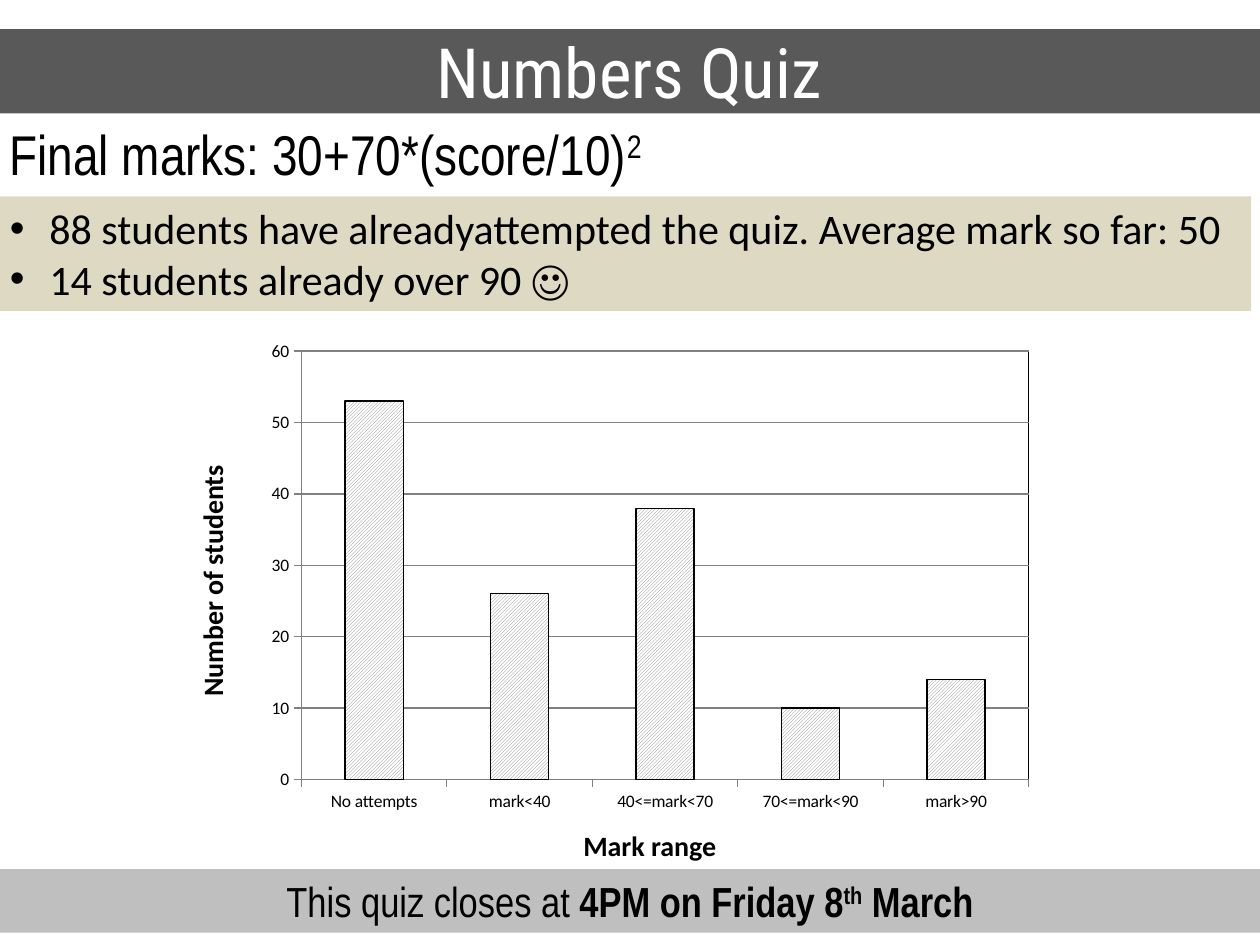
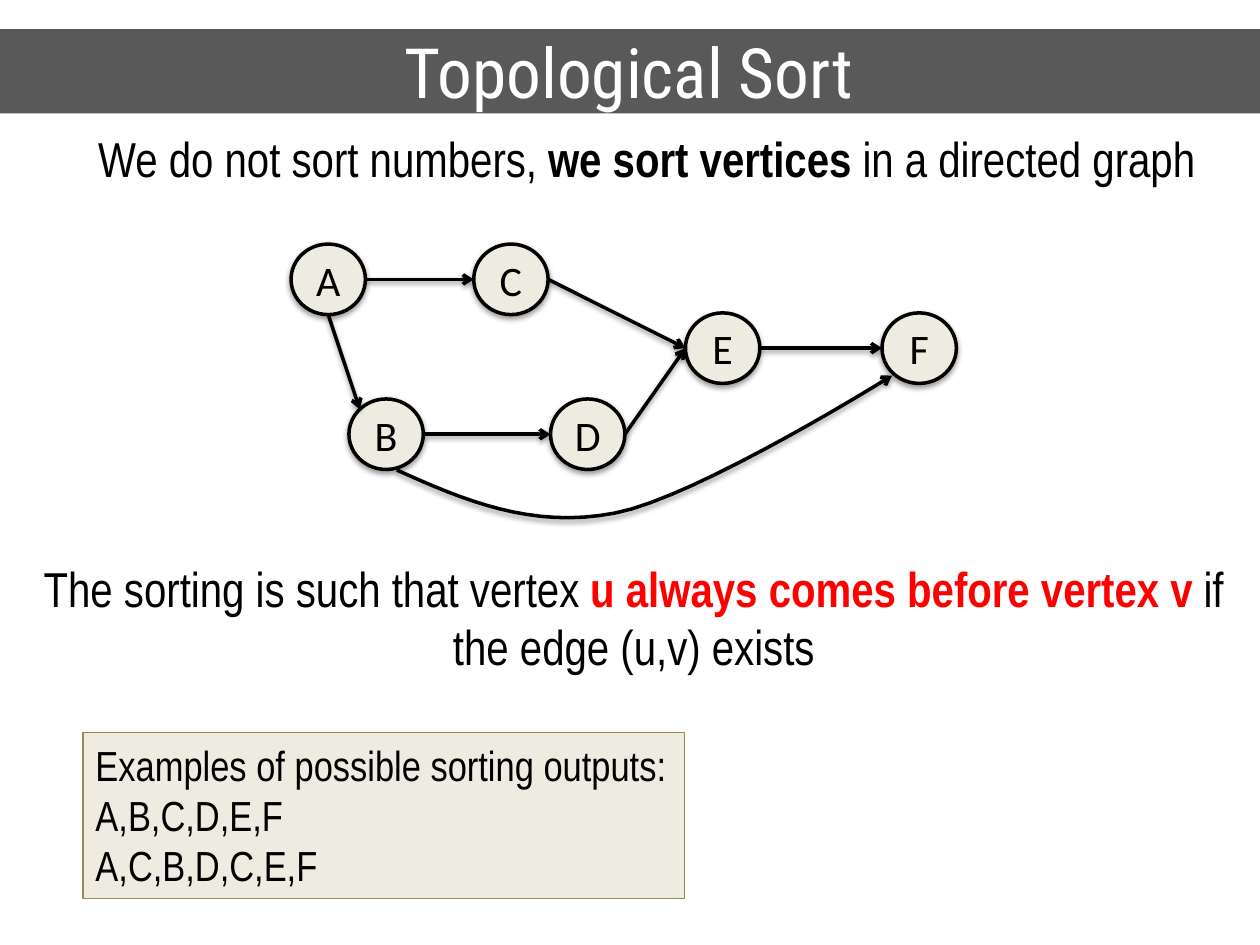
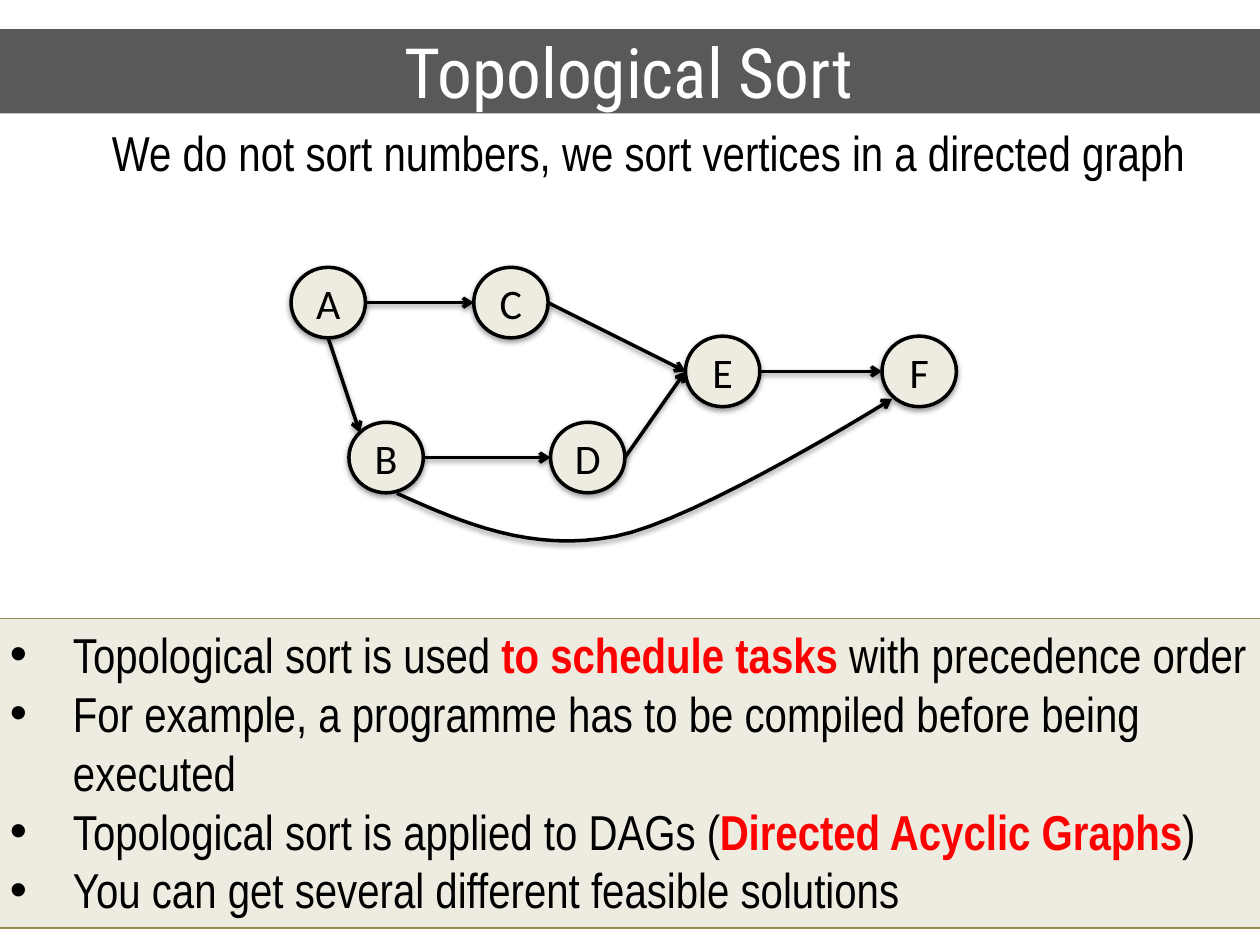
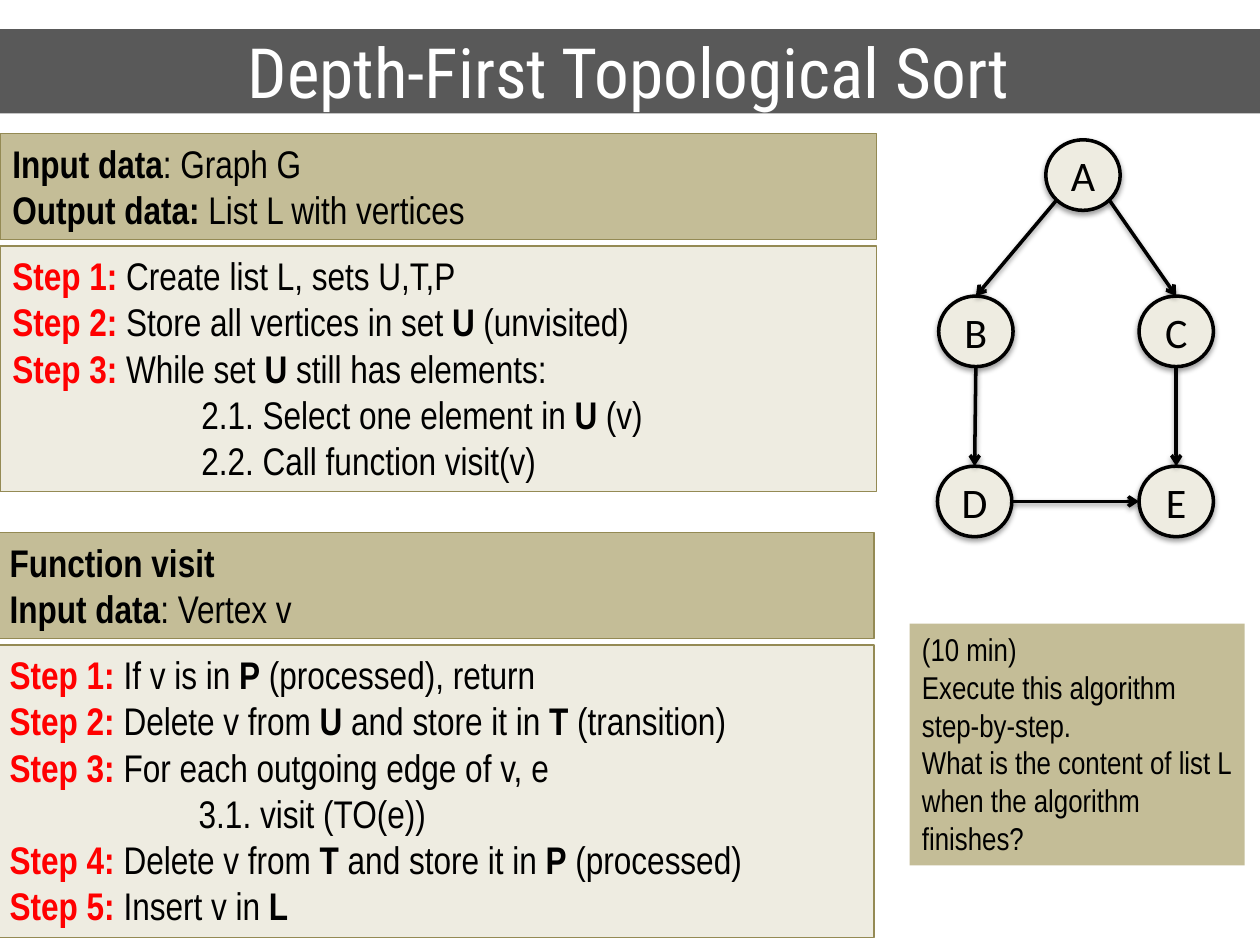
from dataclasses import dataclass
from math import sqrt

from lxml import etree
from pptx import Presentation
from pptx.chart.data import CategoryChartData
from pptx.dml.color import RGBColor
from pptx.enum.chart import XL_CHART_TYPE, XL_TICK_MARK
from pptx.enum.dml import MSO_PATTERN
from pptx.enum.shapes import MSO_CONNECTOR, MSO_SHAPE
from pptx.enum.text import MSO_ANCHOR, MSO_AUTO_SIZE, PP_ALIGN
from pptx.oxml.ns import qn
from pptx.util import Pt

COLUMNS = XL_CHART_TYPE.COLUMN_CLUSTERED
TICK_OUT = XL_TICK_MARK.OUTSIDE
HATCH = MSO_PATTERN.LIGHT_UPWARD_DIAGONAL
STRAIGHT = MSO_CONNECTOR.STRAIGHT
RECTANGLE, OVAL = MSO_SHAPE.RECTANGLE, MSO_SHAPE.OVAL
MIDDLE, TOP = MSO_ANCHOR.MIDDLE, MSO_ANCHOR.TOP
NO_FIT, FIT_SHAPE = MSO_AUTO_SIZE.NONE, MSO_AUTO_SIZE.SHAPE_TO_FIT_TEXT
LEFT, CENTER = PP_ALIGN.LEFT, PP_ALIGN.CENTER

CONTENT_LAYOUT, TITLE_LAYOUT = 1, 5
BAND_LEFT, BAND_WIDTH = -1.5, 722
NODE_WIDTH, NODE_HEIGHT = 42.5, 40.3
SUBSTEP_INDENT = 108


@dataclass(frozen=True)
class Theme:
    ink: RGBColor = RGBColor(0x00, 0x00, 0x00)
    paper: RGBColor = RGBColor(0xFF, 0xFF, 0xFF)
    accent: RGBColor = RGBColor(0xFF, 0x00, 0x00)
    title_band: RGBColor = RGBColor(0x59, 0x59, 0x59)
    notice_band: RGBColor = RGBColor(0xBF, 0xBF, 0xBF)
    sand: RGBColor = RGBColor(0xDD, 0xD9, 0xC3)
    cream: RGBColor = RGBColor(0xEE, 0xEC, 0xE1)
    khaki: RGBColor = RGBColor(0xC4, 0xBD, 0x97)
    olive: RGBColor = RGBColor(0x94, 0x8A, 0x54)
    grey: RGBColor = RGBColor(0x80, 0x80, 0x80)
    title_font: str = "Roboto Condensed"
    text_font: str = "Arial Narrow"
    plain_font: str = "Calibri"
    title: float = 39.6
    formula: float = 32
    statement: float = 28
    body: float = 24
    code: float = 22
    callout: float = 18
    axis_title: float = 16
    axis_label: float = 10
    thin: float = 0.75
    thick: float = 2


THEME = Theme()
BOLD = {"bold": True}
RAISED = {"raised": True}
KEY = {"bold": True, "color": THEME.accent}

DIAGONAL = 1 / sqrt(2)
SITES = {
    "top": (0, -1), "bottom": (0, 1), "left": (-1, 0), "right": (1, 0),
    "top left": (-DIAGONAL, -DIAGONAL),
    "bottom left": (-DIAGONAL, DIAGONAL),
    "bottom right": (DIAGONAL, DIAGONAL),
}

SORT_NODES = {
    "A": (166.3, 139.5), "B": (199.4, 228), "C": (270.7, 139.5),
    "D": (314.6, 228), "E": (391.7, 178.8), "F": (504, 178.8),
}
SORT_EDGES = [
    ("A", "right", "C", "left"), ("A", "bottom", "B", "top left"),
    ("B", "right", "D", "left"), ("C", "right", "E", "left"),
    ("D", "right", "E", "left"), ("E", "right", "F", "left"),
]
B_TO_F = [
    [(226.8, 268.6), (265, 285.8), (303.8, 302.4), (351.4, 293.2)],
    [(351.4, 293.2), (398.2, 284.4), (509.8, 214.6), (509.8, 214.6)],
]
VISIT_NODES = {
    "A": (597.6, 79.9), "B": (536.4, 169.2), "C": (650.9, 169.2),
    "D": (535.7, 266.4), "E": (650.9, 266.4),
}
VISIT_EDGES = [
    ("A", "bottom left", "B", "top"), ("A", "bottom right", "C", "top"),
    ("B", "bottom", "D", "top"), ("C", "bottom", "E", "top"),
    ("D", "right", "E", "left"),
]


def bezier_point(controls, t):
    weights = ((1 - t) ** 3, 3 * t * (1 - t) ** 2, 3 * t ** 2 * (1 - t), t ** 3)
    return tuple(sum(w * c[axis] for w, c in zip(weights, controls))
                 for axis in (0, 1))


def step(number, *pieces):
    return [(f"Step {number}: ", KEY), *pieces]


def set_indent(paragraph, margin, first_line=0):
    properties = paragraph._p.get_or_add_pPr()
    properties.set("marL", str(Pt(margin)))
    properties.set("indent", str(Pt(first_line)))
    return properties


def add_run(paragraph, text, *, size, font, color, bold=False, raised=False):
    run = paragraph.add_run()
    run.text = text
    run.font.size = Pt(size)
    run.font.name = font
    run.font.color.rgb = color
    run.font.bold = bold
    if raised:
        run._r.get_or_add_rPr().set("baseline", "30000")


def write(frame, paragraphs, *, align=LEFT, bullet_indent=0, substeps=(),
          size=THEME.body, font=THEME.text_font, color=THEME.ink, bold=False):
    """Fill a frame; a paragraph is a string or a list of strings and (string, format)."""
    base = {"size": size, "font": font, "color": color, "bold": bold}
    for index, pieces in enumerate(paragraphs):
        paragraph = frame.paragraphs[0] if index == 0 else frame.add_paragraph()
        paragraph.alignment = align
        paragraph.space_before = Pt(0)
        if bullet_indent:
            properties = set_indent(paragraph, bullet_indent, -bullet_indent)
            etree.SubElement(properties, qn("a:buChar"), char="•")
        elif index in substeps:
            set_indent(paragraph, SUBSTEP_INDENT)
        for piece in [pieces] if isinstance(pieces, str) else pieces:
            text, changes = (piece, {}) if isinstance(piece, str) else piece
            add_run(paragraph, text, **{**base, **changes})


class Deck:
    def __init__(self, theme):
        self.theme = theme
        self.presentation = Presentation()
        self.presentation.slide_width = Pt(720)
        self.presentation.slide_height = Pt(540)
        self.slide = None

    def start_slide(self, title, layout=TITLE_LAYOUT):
        self.slide = self.presentation.slides.add_slide(
            self.presentation.slide_layouts[layout])
        band = self.slide.shapes.title
        self.place(band, BAND_LEFT, 16.6, BAND_WIDTH, 48.2)
        self.paint(band, self.theme.title_band)
        frame = band.text_frame
        frame.auto_size = NO_FIT
        frame.vertical_anchor = MIDDLE
        write(frame, [title], align=CENTER, size=self.theme.title,
              font=self.theme.title_font, color=self.theme.paper)

    def place(self, shape, left, top, width, height):
        shape.left, shape.top = Pt(left), Pt(top)
        shape.width, shape.height = Pt(width), Pt(height)

    def paint(self, shape, fill, line=None, line_width=THEME.thin):
        shape.fill.solid()
        shape.fill.fore_color.rgb = fill
        if line is None:
            shape.line.fill.background()
        else:
            shape.line.color.rgb = line
            shape.line.width = Pt(line_width)

    def cast_shadow(self, shape):
        properties = shape.element.spPr
        effects = properties.find(qn("a:effectLst"))
        if effects is None:
            effects = etree.SubElement(properties, qn("a:effectLst"))
        shadow = etree.SubElement(
            effects, qn("a:outerShdw"), blurRad=str(Pt(3.1)), dist=str(Pt(1.6)),
            dir="5400000", rotWithShape="0")
        tint = etree.SubElement(shadow, qn("a:srgbClr"), val=str(self.theme.ink))
        etree.SubElement(tint, qn("a:alpha"), val="38000")

    def style_arrow(self, arrow):
        arrow.line.color.rgb = self.theme.ink
        arrow.line.width = Pt(self.theme.thick)
        outline = arrow.element.spPr.find(qn("a:ln"))
        etree.SubElement(outline, qn("a:tailEnd"), type="arrow")
        self.cast_shadow(arrow)

    def text(self, at, paragraphs, wrap=False, rotation=0, **style):
        label = self.slide.shapes.add_textbox(*map(Pt, at))
        label.rotation = rotation
        label.text_frame.word_wrap = wrap
        label.text_frame.auto_size = FIT_SHAPE
        write(label.text_frame, paragraphs, **style)

    def panel(self, at, paragraphs, fill, line=None, wrap=True, **style):
        panel = self.slide.shapes.add_shape(RECTANGLE, *map(Pt, at))
        panel.shadow.inherit = False
        self.paint(panel, fill, line)
        frame = panel.text_frame
        frame.word_wrap = wrap
        frame.auto_size = FIT_SHAPE
        frame.vertical_anchor = TOP
        write(frame, paragraphs, **style)

    def bullets(self, at, paragraphs, fill, line=None, **style):
        body = self.slide.placeholders[1]
        self.place(body, *at)
        self.paint(body, fill, line)
        body.text_frame.auto_size = NO_FIT
        write(body.text_frame, paragraphs, **style)

    def node(self, name, left, top):
        node = self.slide.shapes.add_shape(
            OVAL, Pt(left), Pt(top), Pt(NODE_WIDTH), Pt(NODE_HEIGHT))
        node.shadow.inherit = False
        self.paint(node, self.theme.cream, self.theme.ink, self.theme.thick)
        self.cast_shadow(node)
        node.text_frame.vertical_anchor = MIDDLE
        write(node.text_frame, [name], align=CENTER, font=self.theme.plain_font)

    def graph(self, nodes, edges, drop=0):
        """Draw nodes and the arrows between their named sites, moved down by drop."""
        def site_point(name, site):
            left, top = nodes[name]
            across, down = SITES[site]
            return (Pt(left + NODE_WIDTH / 2 * (1 + across)),
                    Pt(top + drop + NODE_HEIGHT / 2 * (1 + down)))

        for name, (left, top) in nodes.items():
            self.node(name, left, top + drop)
        for source, out_site, target, in_site in edges:
            self.style_arrow(self.slide.shapes.add_connector(
                STRAIGHT, *site_point(source, out_site), *site_point(target, in_site)))

    def curved_arrow(self, segments, drop=0, pieces=16):
        points = [segments[0][0]]
        for controls in segments:
            points += [bezier_point(controls, i / pieces) for i in range(1, pieces + 1)]
        start, *rest = [(Pt(x), Pt(y + drop)) for x, y in points]
        builder = self.slide.shapes.build_freeform(*start)
        builder.add_line_segments(rest, close=False)
        arrow = builder.convert_to_shape()
        arrow.shadow.inherit = False
        arrow.fill.background()
        self.style_arrow(arrow)

    def sort_graph(self, drop=0):
        self.graph(SORT_NODES, SORT_EDGES, drop)
        self.curved_arrow(B_TO_F, drop)

    def column_chart(self, at, categories, values):
        theme = self.theme
        data = CategoryChartData()
        data.categories = categories
        data.add_series("Series 1", values)
        chart = self.slide.shapes.add_chart(COLUMNS, *map(Pt, at), data).chart
        chart.has_legend = chart.has_title = False
        chart.font.name = theme.plain_font
        chart.font.size = Pt(theme.axis_label)
        chart.font.color.rgb = theme.ink

        plot = chart.plots[0]
        plot.gap_width = 150
        plot.vary_by_categories = False
        columns = plot.series[0].format
        columns.fill.patterned()
        columns.fill.pattern = HATCH
        columns.fill.fore_color.rgb = theme.grey
        columns.fill.back_color.rgb = theme.paper
        columns.line.color.rgb = theme.ink
        columns.line.width = Pt(theme.thin)

        scale = chart.value_axis
        scale.minimum_scale, scale.maximum_scale, scale.major_unit = 0, 60, 10
        scale.has_major_gridlines = True
        for axis in (scale, chart.category_axis):
            axis.major_tick_mark = TICK_OUT
        for part in (scale, chart.category_axis, scale.major_gridlines):
            part.format.line.color.rgb = theme.grey
            part.format.line.width = Pt(theme.thin)

        area = chart.element.find(".//" + qn("c:plotArea"))
        border = etree.SubElement(area, qn("c:spPr"))
        etree.SubElement(border, qn("a:noFill"))
        outline = etree.SubElement(border, qn("a:ln"), w=str(Pt(theme.thin)))
        solid = etree.SubElement(outline, qn("a:solidFill"))
        etree.SubElement(solid, qn("a:srgbClr"), val=str(theme.ink))


def quiz_slide(deck):
    theme = deck.theme
    deck.start_slide("Numbers Quiz", CONTENT_LAYOUT)
    deck.text((BAND_LEFT, 64.8, 380, 46),
              [["Final marks: 30+70*(score/10)", ("2", RAISED)]], size=theme.formula)
    deck.bullets(
        (BAND_LEFT, 112.2, 716.5, 65.5),
        ["88 students have alreadyattempted the quiz. Average mark so far: 50",
         "14 students already over 90 ☺"],
        theme.sand, bullet_indent=22.5, font=theme.plain_font)
    deck.panel(
        (0, 496.6, 720, 36.3),
        [["This quiz closes at ", ("4PM on Friday 8", BOLD),
          ("th", {**BOLD, **RAISED}), (" March", BOLD)]],
        theme.notice_band, align=CENTER)
    axis_title = {"size": theme.axis_title, "font": theme.plain_font, "bold": True}
    deck.text((46.8, 317.5, 149, 26.6), ["Number of students"], rotation=270, **axis_title)
    deck.text((326.2, 470.2, 92.2, 26.6), ["Mark range"], **axis_title)
    deck.column_chart(
        (146.2, 189.4, 450.7, 280),
        ["No attempts", "mark<40", "40<=mark<70", "70<=mark<90", "mark>90"],
        [53, 26, 38, 10, 14])


def definition_slide(deck):
    theme = deck.theme
    deck.start_slide("Topological Sort")
    deck.text((49, 69.8, 648, 41.2),
              [["We do not sort numbers, ", ("we sort vertices ", BOLD),
                "in a directed graph"]], size=theme.statement)
    deck.sort_graph()
    deck.text((BAND_LEFT, 315.4, 727.2, 75),
              [["The sorting is such that vertex ",
                ("u always comes before vertex v ", KEY), "if"],
               "the edge (u,v) exists"],
              wrap=True, align=CENTER, size=theme.statement)
    deck.panel((47.5, 418.8, 343.5, 94.5),
               ["Examples of possible sorting outputs:", "A,B,C,D,E,F", "A,C,B,D,C,E,F"],
               theme.cream, theme.olive, wrap=False)


def usage_slide(deck):
    theme = deck.theme
    deck.start_slide("Topological Sort", CONTENT_LAYOUT)
    deck.text((56.9, 66.4, 634.3, 41.2),
              ["We do not sort numbers, we sort vertices in a directed graph"],
              size=theme.statement)
    deck.sort_graph(drop=13.3)
    deck.bullets(
        (BAND_LEFT, 353.3, BAND_WIDTH, 177),
        [["Topological sort is used ", ("to schedule tasks", KEY),
          " with precedence order"],
         "For example, a programme has to be compiled before being executed",
         ["Topological sort is applied to DAGs (", ("Directed Acyclic Graphs", KEY), ")"],
         "You can get several different feasible solutions"],
        theme.cream, theme.olive, bullet_indent=36, size=theme.statement)


def algorithm_slide(deck):
    theme = deck.theme
    header = {"fill": theme.khaki, "line": theme.olive, "size": theme.code}
    steps = {**header, "fill": theme.cream}
    unvisited, transition, processed = ("U", BOLD), ("T", BOLD), ("P", BOLD)

    deck.start_slide("Depth-First Topological Sort")
    deck.panel((0, 140.6, 501, 140.4), [
        step(1, "Create list L, sets U,T,P"),
        step(2, "Store all vertices in set ", unvisited, " (unvisited)"),
        step(3, "While set ", unvisited, " still has elements:"),
        ["2.1. Select one element in ", unvisited, " (v)"],
        "2.2. Call function visit(v)",
    ], substeps=(3, 4), **steps)
    deck.panel((0, 76.3, 501, 60.5), [
        [("Input data", BOLD), ": Graph G"],
        [("Output data: ", BOLD), "List L with vertices"],
    ], **header)
    deck.panel((BAND_LEFT, 368.6, 501, 167), [
        step(1, "If v is in ", processed, " (processed), return"),
        step(2, "Delete v from ", unvisited, " and store it in ", transition,
             " (transition)"),
        step(3, "For each outgoing edge of v, e"),
        "3.1. visit (TO(e))",
        step(4, "Delete v from ", transition, " and store it in ", processed,
             " (processed)"),
        step(5, "Insert v in ", ("L", BOLD)),
    ], substeps=(3,), **steps)
    deck.panel((BAND_LEFT, 304.4, 501, 60.5), [
        [("Function visit", BOLD)],
        [("Input data", BOLD), ": Vertex v"],
    ], **header)
    deck.graph(VISIT_NODES, VISIT_EDGES)
    deck.panel((519.8, 356.4, 191.5, 138.2),
               ["(10 min)", "Execute this algorithm step-by-step.",
                "What is the content of list L when the algorithm finishes?"],
               theme.khaki, size=theme.callout)


def main():
    deck = Deck(THEME)
    for build in (quiz_slide, definition_slide, usage_slide, algorithm_slide):
        build(deck)
    deck.presentation.save("out.pptx")


if __name__ == "__main__":
    main()
